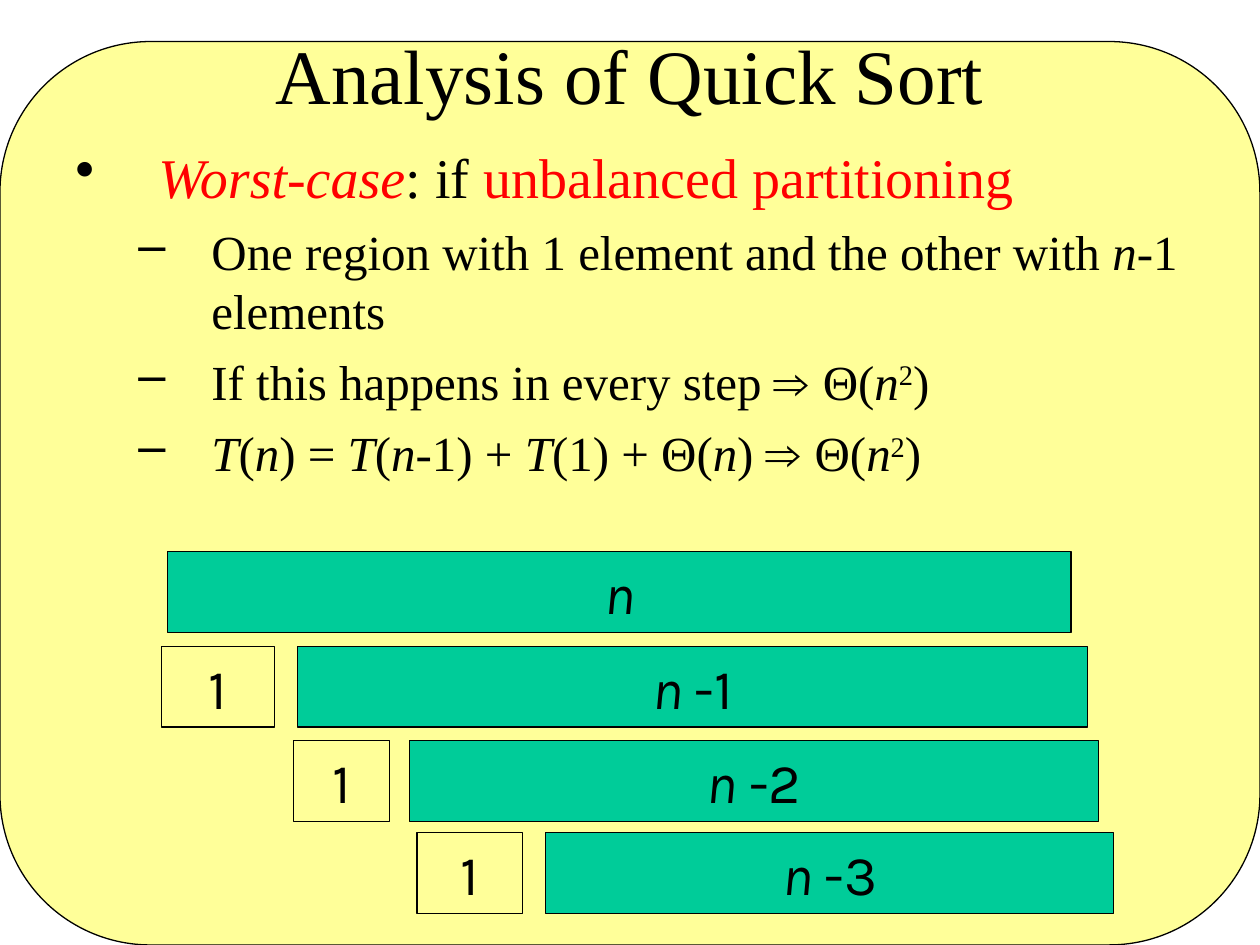
from lxml import etree
from pptx import Presentation
from pptx.dml.color import RGBColor
from pptx.enum.shapes import MSO_SHAPE as SHAPE
from pptx.enum.text import MSO_ANCHOR as ANCHOR, PP_ALIGN as ALIGN
from pptx.oxml.ns import qn
from pptx.util import Inches, Pt

SERIF, SANS, SYMBOL = "Times New Roman", "Karla", "Arial"
BLACK, RED, YELLOW, GREEN = "000000", "FF0000", "FFFF99", "00CC99"

PLAIN = {}
ITALIC = {"italic": True}
RED_TEXT = {"color": RED}
ARROW = ("⇒ ", {"name": SYMBOL})
N = ("n", ITALIC)
T = ("T", ITALIC)
N_SQUARED = [("Θ(", PLAIN), N, ("2", {"superscript": True}), (")", PLAIN)]

LEVELS = [
    {"bullet": "•", "size": 32, "margin": 0.66, "hang": 0.66, "before": 0},
    {"bullet": "–", "size": 28, "margin": 1.08, "hang": 0.58, "before": 7},
]
BODY = [
    (0, [("Worst-case", ITALIC | RED_TEXT), (": if ", PLAIN),
         ("unbalanced partitioning", RED_TEXT)]),
    (1, [("One region with 1 element and the other with ", PLAIN), N,
         ("-1 elements", PLAIN)]),
    (1, [("If this happens in every step ", PLAIN), ARROW, *N_SQUARED]),
    (1, [T, ("(", PLAIN), N, (") = ", PLAIN), T, ("(", PLAIN), N,
         ("-1) + ", PLAIN), T, ("(1) + Θ(", PLAIN), N, (") ", PLAIN),
         ARROW, *N_SQUARED]),
]

BAR_HEIGHT = 0.64
# top, (left, width) of the remaining region, (left, width) of the single element
PARTITIONS = [
    (4.38, (1.33, 7.17), None),
    (5.13, (2.36, 6.27), (1.28, 0.9)),
    (5.88, (3.25, 5.47), (2.33, 0.76)),
    (6.61, (4.33, 4.51), (3.31, 0.84)),
]


def rgb(color):
    return RGBColor.from_string(color)


def add_runs(p, runs, name, size):
    for text, style in runs:
        r = p.add_run()
        r.text = text
        values = {"name": name, "size": Pt(size), "italic": False} | style
        r.font.color.rgb = rgb(values.pop("color", BLACK))
        if values.pop("superscript", False):
            r._r.get_or_add_rPr().set("baseline", "30000")
        for key, value in values.items():
            setattr(r.font, key, value)


def set_bullet(p, bullet, margin, hang):
    pPr = p._p.get_or_add_pPr()
    pPr.set("marL", str(Inches(margin)))
    pPr.set("indent", str(-Inches(hang)))
    color = etree.SubElement(pPr, qn("a:buClr"))
    etree.SubElement(color, qn("a:srgbClr")).set("val", BLACK)
    etree.SubElement(pPr, qn("a:buChar")).set("char", bullet)


def add_box(s, kind, box, fill):
    sp = s.shapes.add_shape(kind, *map(Inches, box))
    sp.shadow.inherit = False
    sp.fill.solid()
    sp.fill.fore_color.rgb = rgb(fill)
    sp.line.color.rgb = rgb(BLACK)
    sp.line.width = Pt(0.75)
    return sp


def add_text_frame(s, box, anchor):
    tf = s.shapes.add_textbox(*map(Inches, box)).text_frame
    tf.word_wrap = True
    tf.vertical_anchor = anchor
    return tf


def add_title(s, box, text):
    p = add_text_frame(s, box, ANCHOR.MIDDLE).paragraphs[0]
    p.alignment = ALIGN.CENTER
    add_runs(p, [(text, PLAIN)], SERIF, 44)


def add_body(s, box):
    tf = add_text_frame(s, box, ANCHOR.TOP)
    for i, (level, runs) in enumerate(BODY):
        p = tf.add_paragraph() if i else tf.paragraphs[0]
        fmt = LEVELS[level]
        p.level = level
        p.space_before = Pt(fmt["before"])
        set_bullet(p, fmt["bullet"], fmt["margin"], fmt["hang"])
        add_runs(p, runs, SERIF, fmt["size"])


def add_bar(s, box, fill, runs):
    tf = add_box(s, SHAPE.RECTANGLE, box, fill).text_frame
    tf.word_wrap = True
    tf.vertical_anchor = ANCHOR.MIDDLE
    p = tf.paragraphs[0]
    p.alignment = ALIGN.CENTER
    add_runs(p, runs, SANS, 32)


def add_partitions(s):
    """Draw one row per recursion step, each one element shorter."""
    for step, (top, rest, single) in enumerate(PARTITIONS):
        runs = [("n ", ITALIC), (f"-{step}", PLAIN)] if step else [N]
        add_bar(s, (rest[0], top, rest[1], BAR_HEIGHT), GREEN, runs)
        if single:
            add_bar(s, (single[0], top, single[1], BAR_HEIGHT), YELLOW,
                    [("1", PLAIN)])


def main():
    prs = Presentation()
    prs.slide_width, prs.slide_height = Inches(10), Inches(7.5)
    s = prs.slides.add_slide(prs.slide_layouts[6])
    add_box(s, SHAPE.ROUNDED_RECTANGLE, (0, 0.33, 10, 7.17), YELLOW)
    add_title(s, (0.5, 0.17, 9, 0.83), "Analysis of Quick Sort")
    add_body(s, (0.5, 1.08, 9, 3.08))
    add_partitions(s)
    prs.save("out.pptx")


if __name__ == "__main__":
    main()
